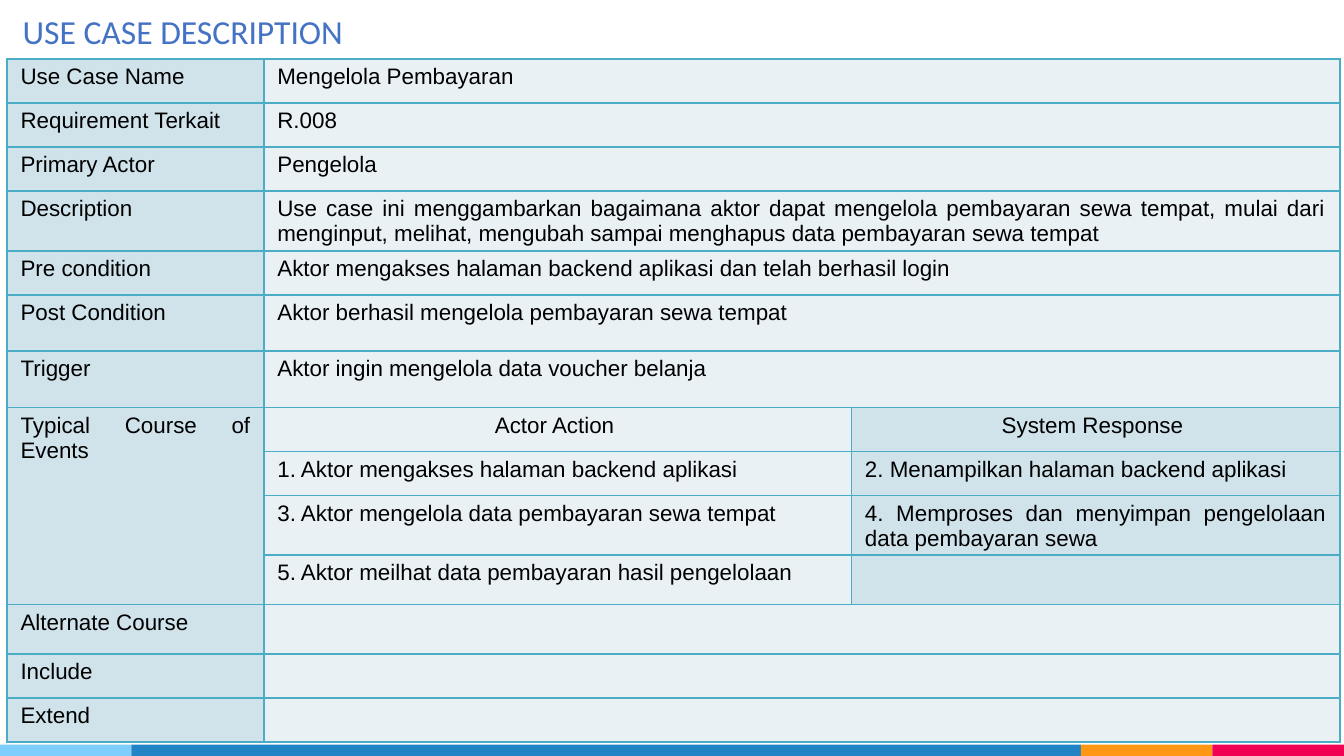
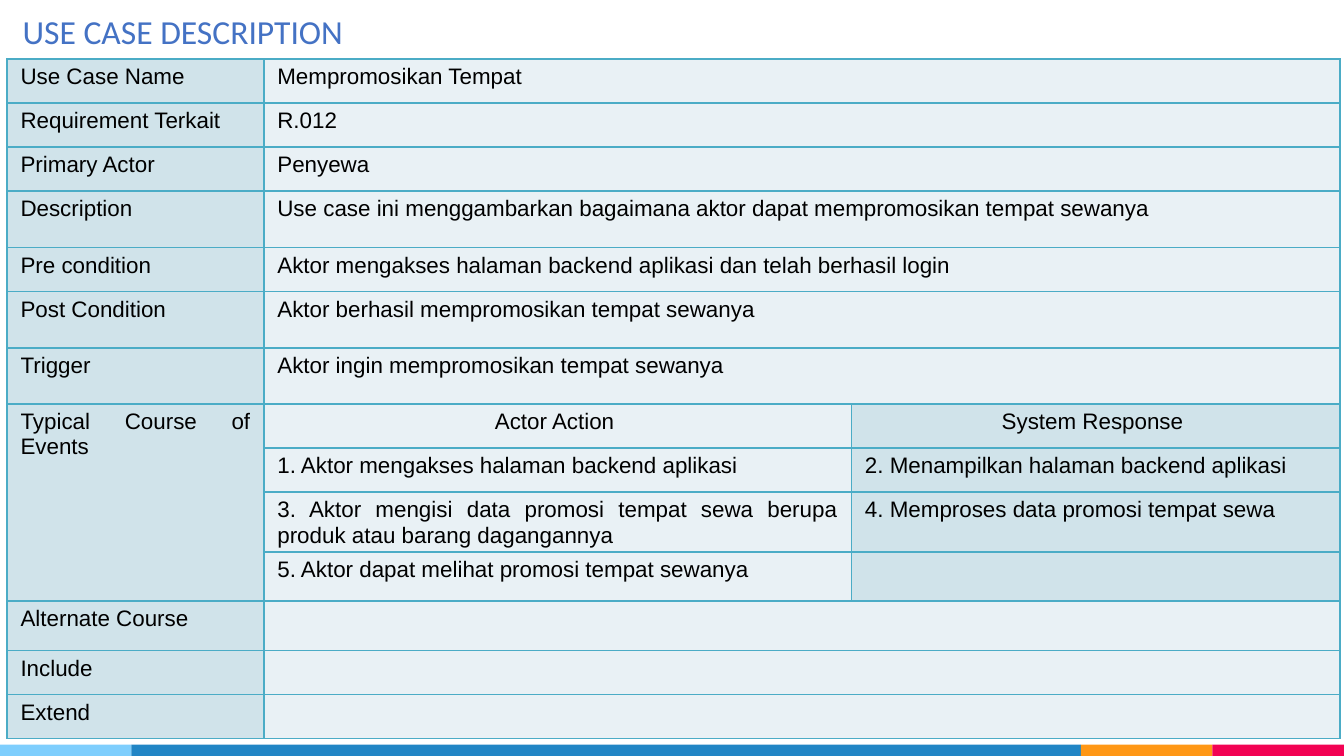
from lxml.etree import SubElement
from pptx import Presentation
from pptx.dml.color import RGBColor
from pptx.enum.shapes import MSO_SHAPE
from pptx.enum.text import MSO_ANCHOR, MSO_AUTO_SIZE, PP_ALIGN
from pptx.oxml.ns import qn
from pptx.util import Pt

# Content
TITLE = "USE CASE DESCRIPTION"
LABELS = ["Use Case Name ", "Requirement Terkait", "Primary Actor ", "Description ",
          "Pre condition ", "Post Condition ", "Trigger "]
COURSE_LABEL = "Typical Course of Events "
COURSE_HEADER = ("Actor Action ", "System Response ")
CLOSING_LABELS = ["Alternate Course ", "Include", "Extend"]
LOGIN = "Aktor mengakses halaman backend aplikasi dan telah berhasil login "
FIRST_STEP = ("1. Aktor mengakses halaman backend aplikasi",
              "2. Menampilkan halaman backend aplikasi")
USE_CASES = [
    {"values": ["Mengelola Pembayaran", "R.008", "Pengelola",
                "Use case ini menggambarkan bagaimana aktor dapat mengelola pembayaran "
                "sewa tempat, mulai dari menginput, melihat, mengubah sampai menghapus "
                "data pembayaran sewa tempat",
                LOGIN, "Aktor berhasil mengelola pembayaran sewa tempat",
                "Aktor ingin mengelola data voucher belanja"],
     "steps": [FIRST_STEP,
               ("3. Aktor mengelola data pembayaran sewa tempat",
                "4. Memproses dan menyimpan pengelolaan data pembayaran sewa"),
               ("5. Aktor meilhat data pembayaran hasil pengelolaan", "")]},
    {"values": ["Mempromosikan Tempat", "R.012", "Penyewa",
                "Use case ini menggambarkan bagaimana aktor dapat mempromosikan tempat "
                "sewanya",
                LOGIN, "Aktor berhasil mempromosikan tempat sewanya",
                "Aktor ingin mempromosikan tempat sewanya"],
     "steps": [FIRST_STEP,
               ("3. Aktor mengisi data promosi tempat sewa berupa produk atau barang "
                "dagangannya", "4. Memproses data promosi tempat sewa"),
               ("5. Aktor dapat melihat promosi tempat sewanya", "")]},
]

# Shared look
BLACK = RGBColor(0x00, 0x00, 0x00)
TITLE_BLUE = RGBColor(0x44, 0x72, 0xC4)
DARK_CELL = RGBColor(0xD0, 0xE3, 0xEA)
LIGHT_CELL = RGBColor(0xE9, 0xF1, 0xF5)
BORDER = RGBColor(0x4B, 0xAC, 0xC6)
BANDS = [(70.4, RGBColor(0x7E, 0xCE, 0xFD)), (508.7, RGBColor(0x21, 0x85, 0xC5)),
         (70.4, RGBColor(0xFF, 0x97, 0x15)), (70.5, RGBColor(0xF2, 0x02, 0x53))]
PAGE_WIDTH, PAGE_HEIGHT, BAND_HEIGHT = 720, 405, 6
TABLE_LEFT, TABLE_TOP = 3.8, 31.6
COLUMNS = [137.6, 314.8, 261.6]
LOW, MIDDLE, HIGH = 23.6, 26.4, 30.2
ROWS = [LOW] * 3 + [HIGH, LOW, HIGH, HIGH, LOW, LOW] + [MIDDLE] * 3 + [LOW] * 2
MARGIN_TOP, MARGIN_BOTTOM = 2.9, 2.2


def write(frame, text, size=12, font="Arial", color=BLACK, align=PP_ALIGN.JUSTIFY):
    para = frame.paragraphs[0]
    para.alignment = align
    if text:
        span = para.add_run()
        span.text = text
        span.font.size, span.font.name = Pt(size), font
        span.font.color.rgb = color
    else:
        # An empty cell keeps the text size, so its row stays low
        SubElement(para._p, qn("a:endParaRPr"), sz=str(size * 100))


def add_borders(cell):
    properties = cell._tc.get_or_add_tcPr()
    for place, side in enumerate(("lnL", "lnR", "lnT", "lnB")):
        line = SubElement(properties, qn("a:" + side), w=str(Pt(1)))
        fill = SubElement(line, qn("a:solidFill"))
        SubElement(fill, qn("a:srgbClr"), val=str(BORDER))
        properties.insert(place, line)


def add_bands(page, layout):
    """Draw the bottom bands and hand them to the layout."""
    left = 0
    for width, color in BANDS:
        band = page.shapes.add_shape(MSO_SHAPE.RECTANGLE, Pt(left),
                                     Pt(PAGE_HEIGHT - BAND_HEIGHT), Pt(width),
                                     Pt(BAND_HEIGHT))
        band.shadow.inherit = False
        band.fill.solid()
        band.fill.fore_color.rgb = color
        band.line.fill.background()
        layout.shapes.element.append(band.element)
        left += width


def add_title(page):
    box = page.shapes.title
    box.left, box.top, box.width, box.height = Pt(5), Pt(2.4), Pt(186), Pt(29)
    frame = box.text_frame
    # No side margins: the line needs the full width of the box
    frame.margin_left = frame.margin_right = 0
    frame.word_wrap = False
    frame.auto_size = MSO_AUTO_SIZE.NONE
    frame.vertical_anchor = MSO_ANCHOR.TOP
    write(frame, TITLE, size=18, font="Calibri", color=TITLE_BLUE,
          align=PP_ALIGN.CENTER)


def add_use_case(page, use_case):
    course = [COURSE_HEADER] + use_case["steps"]
    course_labels = [COURSE_LABEL] + [""] * (len(course) - 1)
    rows = [(label, value, "") for label, value in zip(LABELS, use_case["values"])]
    rows += [(label, *step) for label, step in zip(course_labels, course)]
    rows += [(label, "", "") for label in CLOSING_LABELS]
    first = len(LABELS)
    last = first + len(course) - 1

    table = page.shapes.add_table(len(rows), len(COLUMNS), Pt(TABLE_LEFT),
                                  Pt(TABLE_TOP), Pt(sum(COLUMNS)),
                                  Pt(sum(ROWS))).table
    table.first_row = table.horz_banding = False
    for column, width in zip(table.columns, COLUMNS):
        column.width = Pt(width)
    for number, (row, height, texts) in enumerate(zip(table.rows, ROWS, rows)):
        row.height = Pt(height)
        for cell, text, color in zip(row.cells, texts,
                                     (DARK_CELL, LIGHT_CELL, DARK_CELL)):
            cell.fill.solid()
            cell.fill.fore_color.rgb = color
            cell.margin_top, cell.margin_bottom = Pt(MARGIN_TOP), Pt(MARGIN_BOTTOM)
            add_borders(cell)
            centred = text in COURSE_HEADER
            write(cell.text_frame, text,
                  align=PP_ALIGN.CENTER if centred else PP_ALIGN.JUSTIFY)
        if not first <= number <= last:
            table.cell(number, 1).merge(table.cell(number, 2))
    table.cell(first, 0).merge(table.cell(last, 0))


# Build the pages
deck = Presentation()
deck.slide_width, deck.slide_height = Pt(PAGE_WIDTH), Pt(PAGE_HEIGHT)
title_only = deck.slide_layouts[5]
for number, use_case in enumerate(USE_CASES):
    page = deck.slides.add_slide(title_only)
    if number == 0:
        add_bands(page, title_only)
    add_use_case(page, use_case)
    add_title(page)
deck.save("out.pptx")
